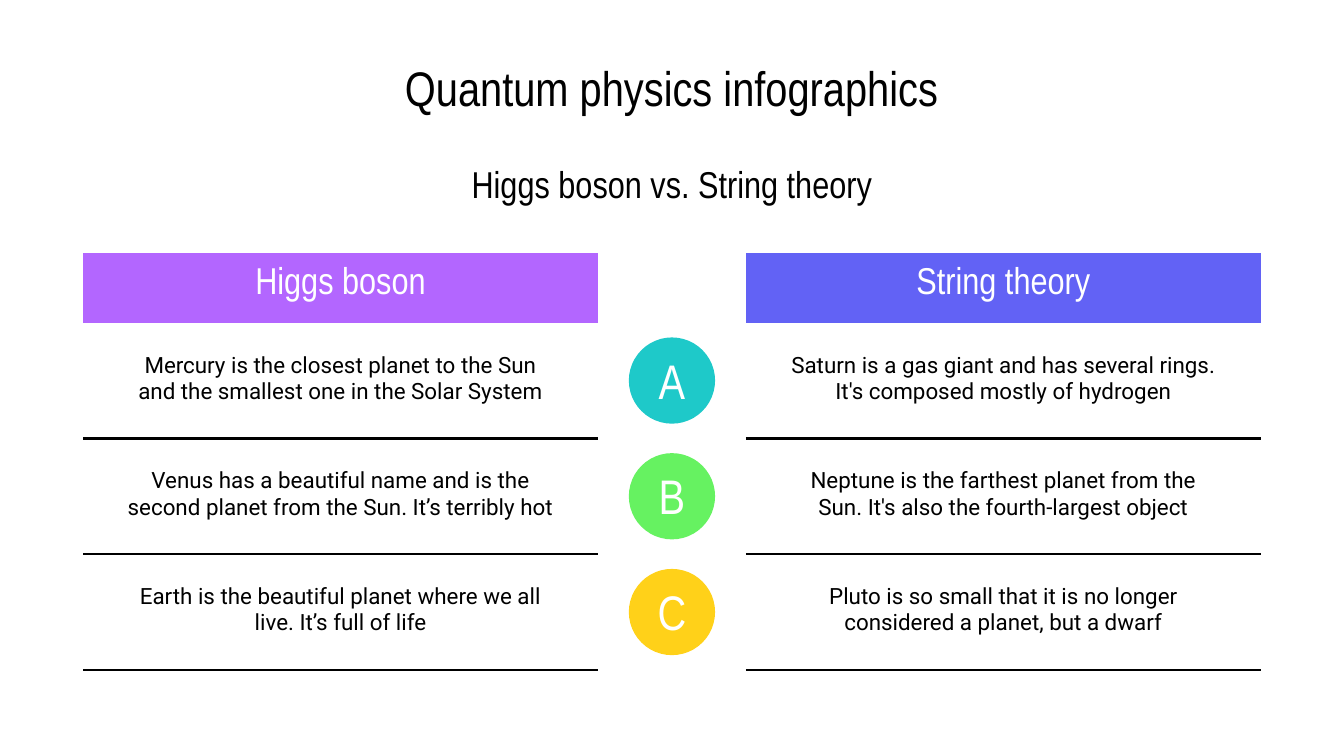
from dataclasses import dataclass

import pptx
import pptx.dml.color
import pptx.enum.shapes
import pptx.enum.text
import pptx.oxml
import pptx.oxml.ns
import pptx.util

Pt = pptx.util.Pt


@dataclass(frozen=True)
class Theme:
    heading_font: str = "Arial Narrow"
    body_font: str = "Roboto"
    title_size: int = 26
    heading_size: int = 20
    body_size: int = 12
    ink: str = "000000"
    paper: str = "FFFFFF"
    higgs: str = "B366FF"
    strings: str = "6262F5"
    badges: tuple = ("1EC9C9", "66F261", "FFD119")
    rule_width: float = 1.5


THEME = Theme()
TABLE_TOP, TABLE_WIDTH = 135.4, 275.9
HEADER_HEIGHT, ROW_HEIGHT = 37.5, 62
BADGE_SIZE = 46.2
SLIDE_WIDTH, SLIDE_HEIGHT = 720, 405
MARGIN = 44.5

HIGGS_FACTS = (
    "Mercury is the closest planet to the Sun and the smallest one in the Solar System",
    "Venus has a beautiful name and is the second planet from the Sun. It’s terribly hot",
    "Earth is the beautiful planet where we all live. It’s full of life",
)
STRING_FACTS = (
    "Saturn is a gas giant and has several rings. It's composed mostly of hydrogen",
    "Neptune is the farthest planet from the Sun. It's also the fourth-largest object",
    "Pluto is so small that it is no longer considered a planet, but a dwarf",
)


def rgb(color):
    return pptx.dml.color.RGBColor.from_string(color)


def write(frame, text, font, size, color):
    frame.word_wrap = True
    paragraph = frame.paragraphs[0]
    paragraph.text = text
    paragraph.alignment = pptx.enum.text.PP_ALIGN.CENTER
    paragraph.font.name = font
    paragraph.font.size = Pt(size)
    paragraph.font.bold = False
    paragraph.font.color.rgb = rgb(color)


def set_insets(holder, side, top, bottom):
    holder.margin_left = holder.margin_right = Pt(side)
    holder.margin_top, holder.margin_bottom = Pt(top), Pt(bottom)
    holder.vertical_anchor = pptx.enum.text.MSO_ANCHOR.MIDDLE


def add_heading(slide, text, top, height, size):
    width = 404
    heading = slide.shapes.add_textbox(
        Pt((SLIDE_WIDTH - width) / 2), Pt(top), Pt(width), Pt(height))
    write(heading.text_frame, text, THEME.heading_font, size, THEME.ink)
    set_insets(heading.text_frame, 7.2, 7.2, 7.2)


def set_borders(cell, ruled_sides):
    properties = cell._tc.get_or_add_tcPr()
    for side in "LRTB":
        if side in ruled_sides:
            paint = f'<a:solidFill><a:srgbClr val="{THEME.ink}"/></a:solidFill>'
        else:
            paint = "<a:noFill/>"
        properties.append(pptx.oxml.parse_xml(
            f'<a:ln{side} {pptx.oxml.ns.nsdecls("a")} '
            f'w="{Pt(THEME.rule_width)}">{paint}</a:ln{side}>'))


def add_theory(slide, left, name, color, facts):
    height = HEADER_HEIGHT + len(facts) * ROW_HEIGHT
    table = slide.shapes.add_table(
        len(facts) + 1, 1, Pt(left), Pt(TABLE_TOP), Pt(TABLE_WIDTH), Pt(height)).table
    table.first_row = table.horz_banding = False

    table.rows[0].height = Pt(HEADER_HEIGHT)
    header = table.cell(0, 0)
    write(header.text_frame, name, THEME.heading_font, THEME.heading_size, THEME.paper)
    set_insets(header, 7.2, 3.6, 7.2)
    set_borders(header, "")
    header.fill.solid()
    header.fill.fore_color.rgb = rgb(color)

    for row, fact in enumerate(facts, start=1):
        table.rows[row].height = Pt(ROW_HEIGHT)
        cell = table.cell(row, 0)
        write(cell.text_frame, fact, THEME.body_font, THEME.body_size, THEME.ink)
        set_insets(cell, 21.6, 5, 7.2)
        set_borders(cell, "B" if row == 1 else "TB")
        cell.fill.background()


def add_badge(slide, index, letter, color):
    row_top = TABLE_TOP + HEADER_HEIGHT + index * ROW_HEIGHT
    badge = slide.shapes.add_shape(
        pptx.enum.shapes.MSO_SHAPE.OVAL,
        Pt((SLIDE_WIDTH - BADGE_SIZE) / 2),
        Pt(row_top + (ROW_HEIGHT - BADGE_SIZE) / 2),
        Pt(BADGE_SIZE), Pt(BADGE_SIZE))
    badge.shadow.inherit = False
    badge.fill.solid()
    badge.fill.fore_color.rgb = rgb(color)
    badge.line.fill.background()
    write(badge.text_frame, letter, THEME.heading_font, THEME.title_size, THEME.paper)
    set_insets(badge.text_frame, 7.2, 7.2, 7.9)


def main():
    deck = pptx.Presentation()
    deck.slide_width, deck.slide_height = Pt(SLIDE_WIDTH), Pt(SLIDE_HEIGHT)
    slide = deck.slides.add_slide(deck.slide_layouts[6])

    add_heading(slide, "Quantum physics infographics", 24, 45, THEME.title_size)
    add_heading(slide, "Higgs boson vs. String theory", 85, 27, THEME.heading_size)
    add_theory(slide, MARGIN, "Higgs boson", THEME.higgs, HIGGS_FACTS)
    add_theory(slide, SLIDE_WIDTH - MARGIN - TABLE_WIDTH,
               "String theory", THEME.strings, STRING_FACTS)
    for index, (letter, color) in enumerate(zip("ABC", THEME.badges)):
        add_badge(slide, index, letter, color)

    deck.save("out.pptx")


if __name__ == "__main__":
    main()
